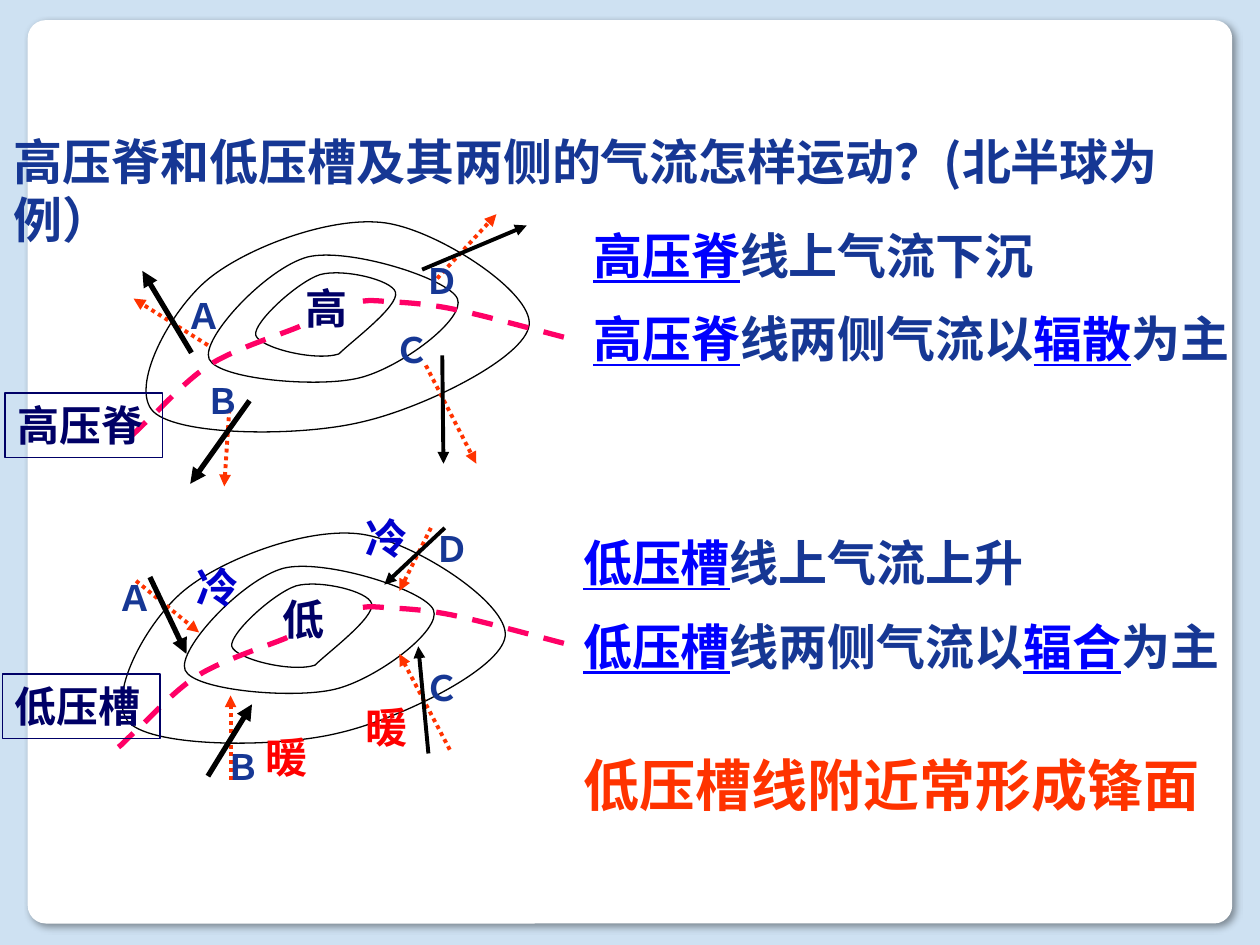
from dataclasses import dataclass

from lxml import etree
from pptx import Presentation
from pptx.dml.color import RGBColor
from pptx.enum.dml import MSO_LINE
from pptx.enum.shapes import MSO_CONNECTOR, MSO_SHAPE
from pptx.enum.text import MSO_ANCHOR, MSO_AUTO_SIZE, PP_ALIGN
from pptx.oxml.ns import qn
from pptx.util import Inches, Pt

STRAIGHT = MSO_CONNECTOR.STRAIGHT
RECTANGLE = MSO_SHAPE.RECTANGLE
ROUNDED = MSO_SHAPE.ROUNDED_RECTANGLE
DASH = MSO_LINE.DASH
DOTTED = MSO_LINE.ROUND_DOT
LEFT = PP_ALIGN.LEFT
CENTER = PP_ALIGN.CENTER
TOP = MSO_ANCHOR.TOP
NO_AUTOSIZE = MSO_AUTO_SIZE.NONE

FONT = "Noto Sans CJK SC"
PALE_BLUE = RGBColor(0xCE, 0xE1, 0xF2)
WHITE = RGBColor(0xFF, 0xFF, 0xFF)
BLACK = RGBColor(0, 0, 0)
NAVY = RGBColor(0, 0, 0x66)
TEXT_BLUE = RGBColor(0x16, 0x37, 0x94)
KEY_BLUE = RGBColor(0, 0, 0xFF)
COLD_BLUE = RGBColor(0, 0, 0xCC)
WARM_RED = RGBColor(0xFF, 0, 0)
ORANGE = RGBColor(0xFF, 0x33, 0)
PINK = RGBColor(0xFF, 0, 0x66)

Point = tuple[float, float]


@dataclass(frozen=True)
class Span:
    text: str
    color: RGBColor
    underline: bool = False


@dataclass(frozen=True)
class Label:
    text: str
    left: float
    top: float
    width: float
    height: float
    size: int
    color: RGBColor
    align: int = LEFT


@dataclass(frozen=True)
class Arrow:
    start: Point
    end: Point
    width: float = 2.25
    deflected: bool = True


RINGS: list[list[Point]] = [
    [(4.01, 5.05), (4.04, 4.79), (3.29, 4.3), (2.87, 4.24), (2.45, 4.18), (1.78, 4.43),
     (1.47, 4.68), (1.16, 4.93), (0.83, 5.55), (1.03, 5.74), (1.23, 5.93), (2.18, 5.94),
     (2.68, 5.82), (3.17, 5.71), (3.98, 5.31), (4.01, 5.05)],
    [(2.25, 4.51), (2.57, 4.43), (3.37, 4.68), (3.44, 4.84), (3.51, 5), (2.99, 5.39),
     (2.66, 5.47), (2.33, 5.55), (1.54, 5.48), (1.47, 5.32), (1.4, 5.16), (1.92, 4.6),
     (2.25, 4.51)],
    [(2.5, 5.28), (2.31, 5.34), (1.87, 5.23), (1.84, 5.13), (1.82, 5.03), (2.17, 4.71),
     (2.35, 4.65), (2.53, 4.6), (2.92, 4.69), (2.95, 4.79), (2.98, 4.9), (2.6, 5.18),
     (2.5, 5.28)],
]
AXIS_RIGHT: list[Point] = [
    (2.88, 4.82), (2.9, 4.82), (2.91, 4.81), (3.03, 4.82), (3.14, 4.83), (3.33, 4.83),
    (3.58, 4.88), (3.83, 4.93), (4.33, 5.07), (4.53, 5.12)]
AXIS_LEFT: list[Point] = [
    (2.28, 5.06), (2.17, 5.11), (1.79, 5.23), (1.59, 5.35), (1.39, 5.47), (1.2, 5.69),
    (1.09, 5.79), (0.98, 5.89), (0.97, 5.91), (0.94, 5.93)]

ARROWS = [
    Arrow((1.65, 2.74), (1.06, 2.37)),
    Arrow((1.82, 3.25), (1.78, 3.86)),
    Arrow((3.47, 2.21), (3.94, 1.7)),
    Arrow((3.38, 2.9), (3.78, 3.68)),
    Arrow((1.52, 2.8), (1.13, 2.15), 3, False),
    Arrow((1.98, 3.18), (1.51, 3.84), 3, False),
    Arrow((3.35, 2.14), (4.18, 1.79), 2.25, False),
    Arrow((3.51, 2.82), (3.52, 3.68), 2.25, False),
    Arrow((1.83, 6.19), (1.83, 5.52)),
    Arrow((1.08, 4.61), (1.58, 5.02)),
    Arrow((3.42, 4.19), (3.17, 4.69)),
    Arrow((3.57, 5.95), (3.17, 5.19)),
    Arrow((1.65, 6.16), (2, 5.59), 3, False),
    Arrow((1.19, 4.58), (1.48, 5.19), 3, False),
    Arrow((3.53, 4.19), (3.05, 4.64), 2.25, False),
    Arrow((3.4, 5.98), (3.32, 5.13), 2.25, False),
]
STATION_LABELS = [
    Label(letter, left, top, 0.48, 0.43, 20, TEXT_BLUE, CENTER)
    for letter, left, top in [
        ("Ａ", 1.38, 2.29), ("Ｄ", 3.27, 2.01), ("Ｃ", 3.03, 2.56), ("Ｂ", 1.53, 2.96),
        ("Ａ", 0.83, 4.53), ("Ｂ", 1.69, 5.87), ("Ｃ", 3.27, 5.24), ("Ｄ", 3.35, 4.14)]
]
AIR_LABELS = [
    Label(text, left, top, 0.54, 0.5, 24, color)
    for text, left, top, color in [
        ("冷", 1.46, 4.41, COLD_BLUE), ("冷", 2.8, 4.02, COLD_BLUE),
        ("暖", 2.01, 5.76, WARM_RED), ("暖", 2.8, 5.52, WARM_RED)]
]
CONCLUSION = Label("低压槽线附近常形成锋面", 4.53, 5.91, 5.28, 0.63, 32, ORANGE)


def write_text(box, paragraphs: list[list[Span]], size: int, align: int = LEFT) -> None:
    frame = box.text_frame
    frame.word_wrap = True
    frame.auto_size = NO_AUTOSIZE
    frame.vertical_anchor = TOP
    frame.margin_left = frame.margin_right = Inches(0.1)
    frame.margin_top = frame.margin_bottom = Inches(0.05)
    for index, spans in enumerate(paragraphs):
        para = frame.add_paragraph() if index else frame.paragraphs[0]
        para.alignment = align
        para.line_spacing = Pt(size * 1.2)
        para.space_before = Pt(size / 2 if index else 0)
        for span in spans:
            run = para.add_run()
            run.text = span.text
            run.font.size = Pt(size)
            run.font.bold = True
            run.font.underline = span.underline
            run.font.color.rgb = span.color
            run.font.name = FONT
            etree.SubElement(run.font._element, qn("a:ea"), typeface=FONT)


def add_text(page, left: float, top: float, width: float, height: float,
             paragraphs: list[list[Span]], size: int, align: int = LEFT) -> None:
    box = page.shapes.add_textbox(Inches(left), Inches(top), Inches(width), Inches(height))
    write_text(box, paragraphs, size, align)


def add_label(page, label: Label) -> None:
    add_text(page, label.left, label.top, label.width, label.height,
             [[Span(label.text, label.color)]], label.size, label.align)


def add_panel(page, shape_type, left: float, top: float, width: float, height: float):
    panel = page.shapes.add_shape(
        shape_type, Inches(left), Inches(top), Inches(width), Inches(height))
    panel.shadow.inherit = False
    panel.fill.solid()
    panel.fill.fore_color.rgb = WHITE
    panel.line.fill.background()
    return panel


def add_card(page) -> None:
    card = add_panel(page, ROUNDED, 0.22, 0.16, 9.56, 7.17)
    card.adjustments[0] = 0.02
    effects = card._element.spPr.find(qn("a:effectLst"))
    shadow = etree.SubElement(effects, qn("a:outerShdw"), blurRad=str(Pt(4)),
                              dist=str(Pt(3)), dir="2700000", algn="tl", rotWithShape="0")
    color = etree.SubElement(shadow, qn("a:srgbClr"), val=str(BLACK))
    etree.SubElement(color, qn("a:alpha"), val="40000")


def bend_segments(curve) -> None:
    segments = list(curve._element.iter(qn("a:lnTo")))
    outline = segments[0].getparent()
    for first in range(0, len(segments), 3):
        bezier = etree.SubElement(outline, qn("a:cubicBezTo"))
        for segment in segments[first:first + 3]:
            bezier.append(segment[0])
            outline.remove(segment)


def add_curve(page, controls: list[Point], shift: Point, ring: bool) -> None:
    points = [(Inches(x + shift[0]), Inches(y + shift[1])) for x, y in controls]
    builder = page.shapes.build_freeform(*points[0], scale=1.0)
    builder.add_line_segments(points[1:], close=False)
    curve = builder.convert_to_shape()
    bend_segments(curve)
    curve.shadow.inherit = False
    curve.line.color.rgb = BLACK if ring else PINK
    curve.line.width = Pt(0.75 if ring else 3)
    if ring:
        curve.fill.solid()
        curve.fill.fore_color.rgb = WHITE
    else:
        curve.fill.background()
        curve.line.dash_style = DASH


def add_arrow(page, arrow: Arrow) -> None:
    ends = [Inches(value) for value in (*arrow.start, *arrow.end)]
    connector = page.shapes.add_connector(STRAIGHT, *ends)
    connector.line.color.rgb = ORANGE if arrow.deflected else BLACK
    connector.line.width = Pt(arrow.width)
    if arrow.deflected:
        connector.line.dash_style = DOTTED
    etree.SubElement(connector.line._get_or_add_ln(), qn("a:tailEnd"), type="triangle")
    etree.SubElement(connector._element.spPr, qn("a:effectLst"))


def add_system(page, center: str, name: str, name_at: Point, ring_shift: Point,
               right_shift: Point, left_shift: Point) -> None:
    for ring in RINGS:
        add_curve(page, ring, ring_shift, True)
    add_label(page, Label(center, 2.14 + ring_shift[0], 4.66 + ring_shift[1],
                          0.5, 0.5, 24, NAVY))
    add_curve(page, AXIS_RIGHT, right_shift, False)
    add_curve(page, AXIS_LEFT, left_shift, False)
    tag = add_panel(page, RECTANGLE, *name_at, 1.25, 0.51)
    tag.fill.background()
    tag.line.color.rgb = NAVY
    tag.line.width = Pt(0.75)
    write_text(tag, [[Span(name, NAVY)]], 24)


def add_explanation(page, left: float, top: float, width: float,
                    name: str, motion: str, pattern: str) -> None:
    key = Span(name, KEY_BLUE, True)
    add_text(page, left, top, width, 1.27, [
        [key, Span("线上气流" + motion, TEXT_BLUE)],
        [key, Span("线两侧气流以", TEXT_BLUE), Span(pattern, KEY_BLUE, True),
         Span("为主", TEXT_BLUE)]], 28)


def main() -> None:
    deck = Presentation()
    deck.slide_width, deck.slide_height = Inches(10), Inches(7.5)
    page = deck.slides.add_slide(deck.slide_layouts[5])
    page.background.fill.solid()
    page.background.fill.fore_color.rgb = PALE_BLUE
    add_card(page)
    add_panel(page, RECTANGLE, 0.43, 1.82, 4.1, 4.57)
    add_system(page, "低", "低压槽", (0.02, 5.35), (0, 0), (0, 0), (0, 0))
    add_system(page, "高", "高压脊", (0.04, 3.12), (0.19, -2.47), (0, -2.43), (0.1, -2.47))
    add_explanation(page, 4.61, 1.74, 5.39, "高压脊", "下沉", "辐散")
    add_explanation(page, 4.53, 4.18, 5.47, "低压槽", "上升", "辐合")
    for arrow in ARROWS:
        add_arrow(page, arrow)
    for label in [*STATION_LABELS, CONCLUSION, *AIR_LABELS]:
        add_label(page, label)
    title = page.shapes.title
    title.left, title.top = Inches(0.01), Inches(0.99)
    title.width, title.height = Inches(9.87), Inches(0.56)
    write_text(title, [[Span("高压脊和低压槽及其两侧的气流怎样运动？(北半球为例）", TEXT_BLUE)]], 28)
    page.shapes._spTree.append(title._element)
    deck.save("out.pptx")


if __name__ == "__main__":
    main()
